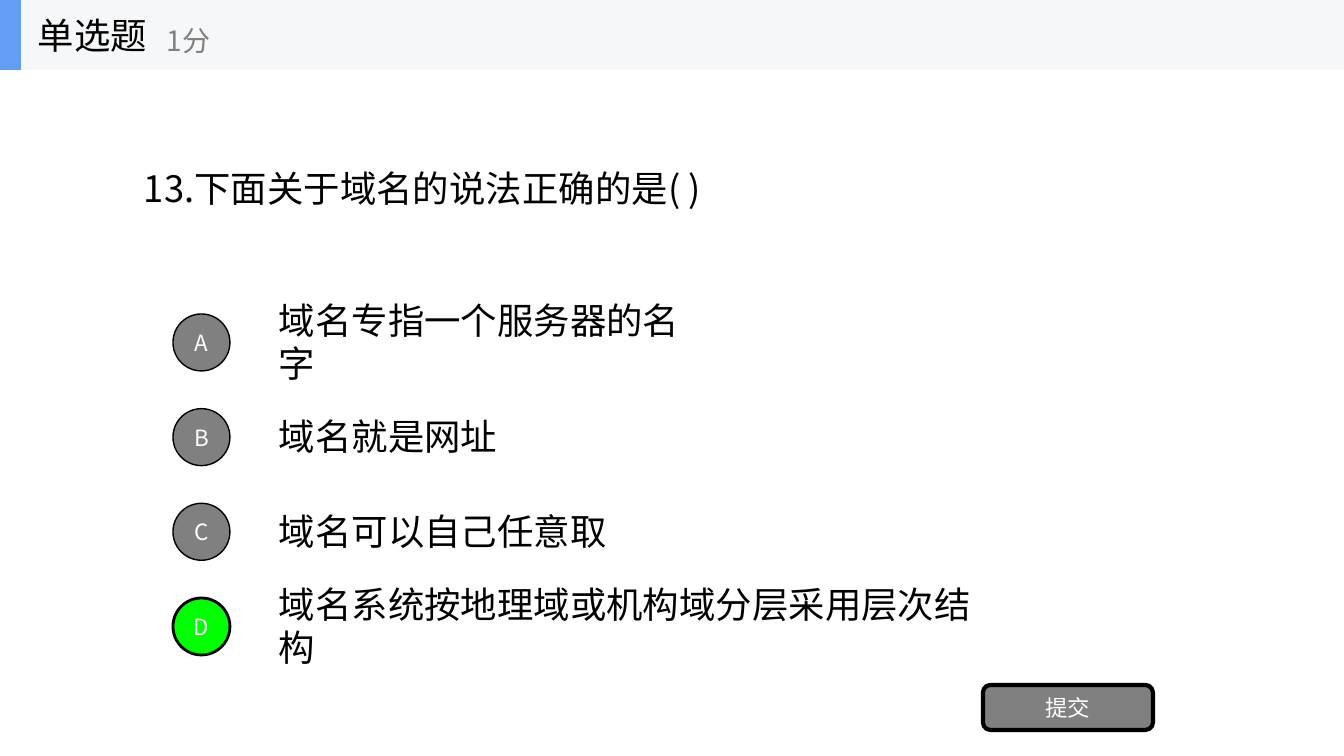
from pptx import Presentation
from pptx.dml.color import RGBColor
from pptx.enum.shapes import MSO_SHAPE
from pptx.enum.text import MSO_ANCHOR, MSO_AUTO_SIZE, PP_ALIGN
from pptx.oxml.ns import qn
from pptx.util import Pt
from lxml import etree

# Content
TITLE, POINTS = "单选题", "1分"
QUESTION = "13.下面关于域名的说法正确的是( )"
SUBMIT = "提交"
OPTIONS = [  # letter, text, text width, chosen
    ("A", "域名专指一个服务器的名字", 457, False),
    ("B", "域名就是网址", 239, False),
    ("C", "域名可以自己任意取", 348, False),
    ("D", "域名系统按地理域或机构域分层采用层次结构", 748, True),
]

# Style
FONT = "Noto Sans CJK SC"
COLORS = {"text": "000000", "gray": "808080", "white": "FFFFFF",
          "chosen": "00FF00", "band": "F6F7F8", "accent": "639EF4"}
BODY_PT, POINTS_PT, BUTTON_PT = 26, 20, 16

# Layout in px
PX = 914400 / 100.8
SLIDE_W, SLIDE_H, HEADER_H = 1344, 756, 70
FIRST_TOP, LAST_TOP = 314, 598
PITCH = (LAST_TOP - FIRST_TOP) / (len(OPTIONS) - 1)
CIRCLE_X, CIRCLE_D, OPTION_X, LINE_H = 173, 57, 269, 53


def emu(*lengths):
    return [round(n * PX) for n in lengths]


def rgb(name):
    return RGBColor.from_string(COLORS[name])


def write(sp, text, size, color, align=PP_ALIGN.LEFT):
    tf = sp.text_frame
    tf.vertical_anchor = MSO_ANCHOR.MIDDLE
    p = tf.paragraphs[0]
    p.text = text
    p.alignment = align
    p.font.size, p.font.name = Pt(size), FONT
    p.font.color.rgb = rgb(color)
    # East Asian characters need their own typeface entry
    props = p._p.pPr.find(qn("a:defRPr"))
    etree.SubElement(props, qn("a:ea")).set("typeface", FONT)


def add_text(shapes, box, text, size=BODY_PT, color="text", wrap=True):
    sp = shapes.add_textbox(*emu(*box))
    sp.text_frame.word_wrap = wrap
    if wrap:
        sp.text_frame.auto_size = MSO_AUTO_SIZE.SHAPE_TO_FIT_TEXT
    write(sp, text, size, color)


def add_block(shapes, kind, box, fill, line=0):
    sp = shapes.add_shape(kind, *emu(*box))
    sp.shadow.inherit = False
    sp.fill.solid()
    sp.fill.fore_color.rgb = rgb(fill)
    if line:
        sp.line.color.rgb = rgb("text")
        sp.line.width = Pt(line)
    else:
        sp.line.fill.background()
    return sp


def add_button(shapes, kind, box, text, fill, line):
    sp = add_block(shapes, kind, box, fill, line)
    tf = sp.text_frame
    tf.margin_left = tf.margin_right = tf.margin_top = tf.margin_bottom = 0
    write(sp, text, BUTTON_PT, "white", PP_ALIGN.CENTER)


def main():
    prs = Presentation()
    prs.slide_width, prs.slide_height = emu(SLIDE_W, SLIDE_H)
    shapes = prs.slides.add_slide(prs.slide_layouts[6]).shapes

    # Question
    add_text(shapes, (134, 161, 580, LINE_H), QUESTION)

    # Options
    for i, (letter, text, width, chosen) in enumerate(OPTIONS):
        top = FIRST_TOP + i * PITCH
        add_text(shapes, (OPTION_X, top + 1, width, LINE_H), text)
        add_button(shapes, MSO_SHAPE.OVAL, (CIRCLE_X, top, CIRCLE_D, CIRCLE_D), letter,
                   "chosen" if chosen else "gray", 2 if chosen else 1)

    # Submit button
    add_button(shapes, MSO_SHAPE.ROUNDED_RECTANGLE, (983, 685, 170, 45), SUBMIT, "gray", 3)

    # Header
    header = shapes.add_group_shape().shapes
    add_block(header, MSO_SHAPE.RECTANGLE, (0, 0, SLIDE_W, HEADER_H), "band")
    add_block(header, MSO_SHAPE.RECTANGLE, (0, 0, 21, HEADER_H), "accent")
    add_text(header, (28, 0, 210, HEADER_H), TITLE, wrap=False)
    add_text(header, (157, 12, 252, 56), POINTS, POINTS_PT, "gray", wrap=False)

    prs.save("out.pptx")


if __name__ == "__main__":
    main()
